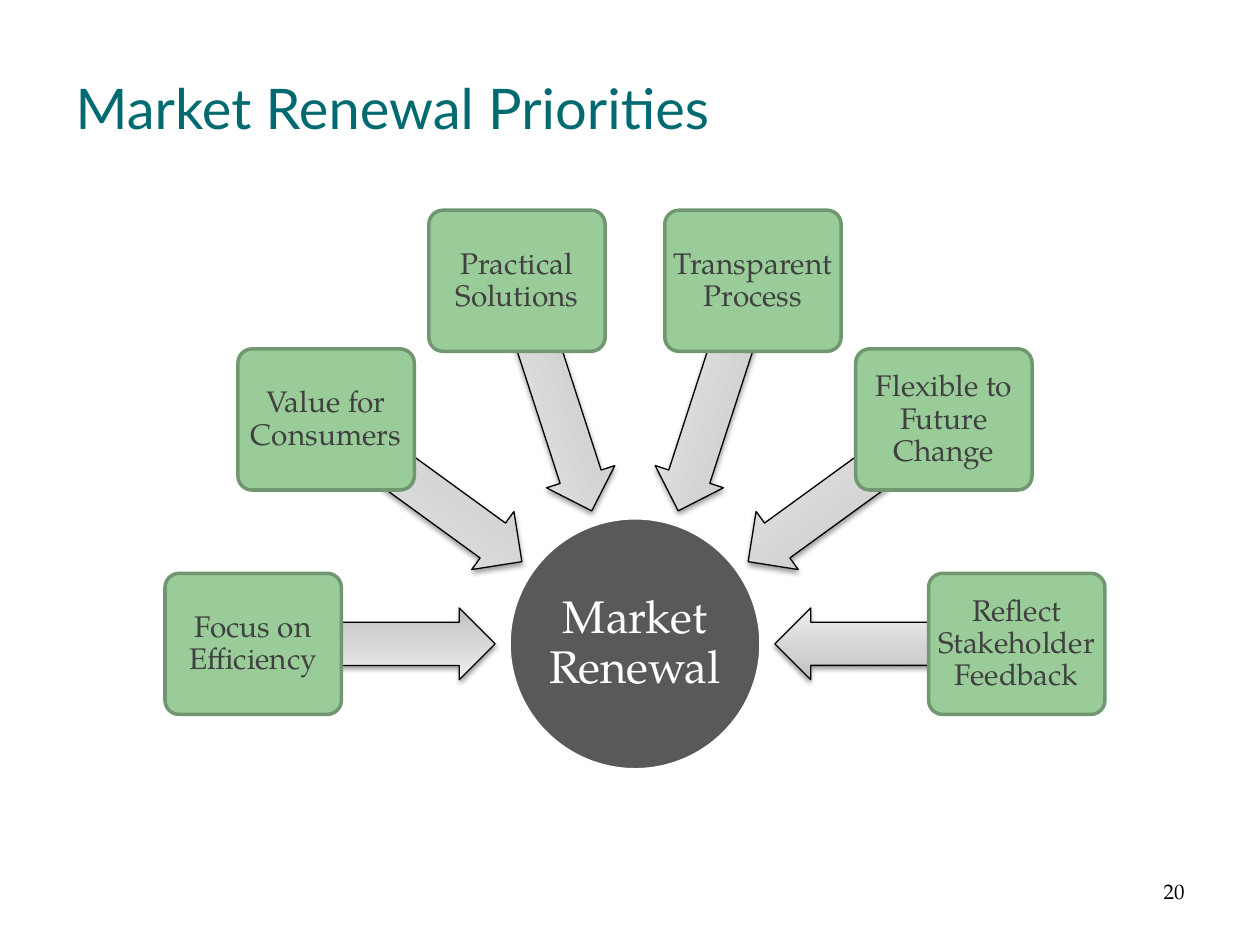
import math

from lxml import etree
from pptx import Presentation
from pptx.dml.color import RGBColor
from pptx.enum import shapes, text
from pptx.oxml import ns
from pptx.util import Inches, Pt

COLORS = {
    "title": "006A71", "hub": "595959", "white": "FFFFFF", "black": "000000",
    "box": "99CC99", "box_line": "719771", "box_text": "404040",
}
ARROW_STOPS = [(0, "BDBDBD"), (35, "D1D1D1"), (100, "EEEEEE")]
TITLE_FONT, BODY_FONT = "Lato", "TeX Gyre Pagella"

HUB_X, HUB_Y = 5.04, 5.11
HUB_SIZE = 2
ARROW_RADIUS, BOX_RADIUS = 2.07, 3.03
ARROW_SIZE, BOX_SIZE = (1.92, 0.57), (1.4, 1.12)
LABEL_INSET = 0.02
ANGLE_STEP = 36
PRIORITIES = [
    "Focus on Efficiency", "Value for Consumers", "Practical Solutions",
    "Transparent Process", "Flexible to Future Change",
    "Reflect Stakeholder Feedback",
]


def rgb(name):
    return RGBColor.from_string(COLORS[name])


def set_text(frame, content, size, color, font, align, anchor, insets=None, spacing=None):
    """Fill the frame with one formatted paragraph; insets are left, top, right, bottom."""
    frame.word_wrap = True
    frame.auto_size = text.MSO_AUTO_SIZE.NONE
    frame.vertical_anchor = anchor
    for side, inset in zip(("left", "top", "right", "bottom"), insets or ()):
        setattr(frame, f"margin_{side}", Inches(inset))
    paragraph = frame.paragraphs[0]
    paragraph.text = content
    paragraph.alignment = align
    paragraph.line_spacing = spacing
    for name, value in {"name": font, "size": Pt(size)}.items():
        setattr(paragraph.font, name, value)
    paragraph.font.color.rgb = rgb(color)


def add_title(slide, content):
    title = slide.shapes.title
    box = {"left": 0.5, "top": 0.58, "width": 9.25, "height": 0.75}
    for name, value in box.items():
        setattr(title, name, Inches(value))
    set_text(title.text_frame, content, 32, "title", TITLE_FONT,
             text.PP_ALIGN.LEFT, text.MSO_ANCHOR.TOP, (0.1, 0, 0.1, 0.05))


def add_page_number(slide, number):
    box = slide.shapes.add_textbox(Inches(8.92), Inches(6.92), Inches(0.58), Inches(0.58))
    set_text(box.text_frame, number, 12, "black", BODY_FONT,
             text.PP_ALIGN.RIGHT, text.MSO_ANCHOR.TOP)


def add_centered_shape(slide, kind, center, size, line, line_width):
    (x, y), (width, height) = center, size
    shape = slide.shapes.add_shape(kind, Inches(x - width / 2), Inches(y - height / 2),
                                   Inches(width), Inches(height))
    shape.shadow.inherit = False
    shape.line.color.rgb = rgb(line)
    shape.line.width = Pt(line_width)
    return shape


def add_label_shape(slide, kind, center, size, fill, line, content, font_size, color):
    shape = add_centered_shape(slide, kind, center, size, line, 2)
    shape.fill.solid()
    shape.fill.fore_color.rgb = rgb(fill)
    set_text(shape.text_frame, content, font_size, color, BODY_FONT,
             text.PP_ALIGN.CENTER, text.MSO_ANCHOR.MIDDLE, (LABEL_INSET,) * 4, 0.9)
    return shape


def add_color(parent, color):
    return etree.SubElement(parent, ns.qn("a:srgbClr"), val=color)


def add_arrow(slide, center, rotation):
    arrow = add_centered_shape(slide, shapes.MSO_SHAPE.LEFT_ARROW, center, ARROW_SIZE,
                               "black", 0.75)
    arrow.adjustments[0], arrow.adjustments[1] = 0.6, 0.5
    arrow.rotation = rotation
    arrow.fill.gradient()
    arrow.fill.gradient_angle = 90  # counted counter-clockwise: dark below, light above
    properties = arrow.element.spPr
    stops = properties.find(".//" + ns.qn("a:gsLst"))
    for stop in list(stops):
        stops.remove(stop)
    for position, color in ARROW_STOPS:
        add_color(etree.SubElement(stops, ns.qn("a:gs"), pos=str(position * 1000)), color)
    shadow = etree.SubElement(
        properties.find(ns.qn("a:effectLst")), ns.qn("a:outerShdw"),
        blurRad=str(Pt(3.1)), dist=str(Pt(1.6)), dir="5400000", rotWithShape="0")
    etree.SubElement(add_color(shadow, COLORS["black"]), ns.qn("a:alpha"), val="38000")


def around_hub(radius, degrees):
    """Point on a circle around the hub, clockwise from its left side."""
    angle = math.radians(degrees)
    return HUB_X - radius * math.cos(angle), HUB_Y - radius * math.sin(angle)


def add_priorities(slide):
    add_label_shape(slide, shapes.MSO_SHAPE.OVAL, (HUB_X, HUB_Y), (HUB_SIZE, HUB_SIZE),
                    "hub", "white", "Market Renewal", 26, "white")
    for index, priority in enumerate(PRIORITIES):
        degrees = index * ANGLE_STEP
        add_arrow(slide, around_hub(ARROW_RADIUS, degrees), (180 + degrees) % 360)
        box = add_label_shape(slide, shapes.MSO_SHAPE.ROUNDED_RECTANGLE,
                              around_hub(BOX_RADIUS, degrees), BOX_SIZE,
                              "box", "box_line", priority, 17, "box_text")
        box.adjustments[0] = 0.1


def main():
    presentation = Presentation()
    presentation.slide_width, presentation.slide_height = Inches(10), Inches(7.5)
    slide = presentation.slides.add_slide(presentation.slide_layouts.get_by_name("Title Only"))
    add_page_number(slide, "20")
    add_title(slide, "Market Renewal Priorities")
    add_priorities(slide)
    presentation.save("out.pptx")


if __name__ == "__main__":
    main()
